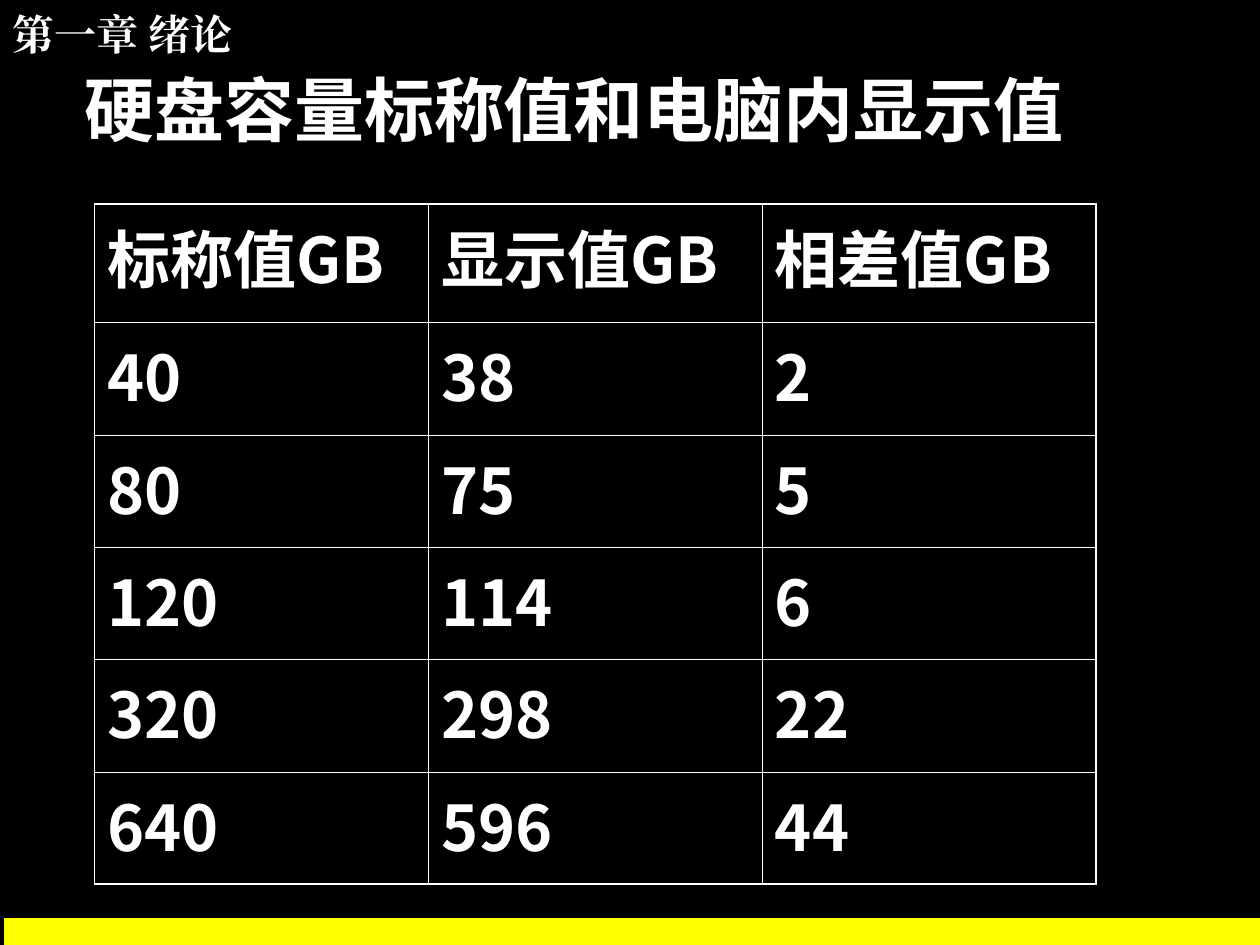
import pptx
import pptx.util
import pptx.dml.color
import pptx.enum.shapes
import pptx.enum.text
import pptx.oxml.ns
import pptx.oxml.xmlchemy

Inches = pptx.util.Inches
Pt = pptx.util.Pt
qn = pptx.oxml.ns.qn
OxmlElement = pptx.oxml.xmlchemy.OxmlElement

COLORS = {"background": "000000", "text": "FFFFFF", "grid": "FFFFFF", "band": "FFFF00"}
HEAVY, THIN = 1.08, 0.45

CAPACITIES = [
    ("标称值GB", "显示值GB", "相差值GB"),
    ("40", "38", "2"),
    ("80", "75", "5"),
    ("120", "114", "6"),
    ("320", "298", "22"),
    ("640", "596", "44"),
]


def color(name):
    return pptx.dml.color.RGBColor.from_string(COLORS[name])


def apply(target, values):
    for name, value in values.items():
        setattr(target, name, value)


def write(frame, text, size, typeface, line_spacing=1.0):
    paragraph = frame.paragraphs[0]
    apply(paragraph, {"alignment": pptx.enum.text.PP_ALIGN.LEFT,
                      "line_spacing": line_spacing, "space_before": Pt(0)})
    run = paragraph.add_run()
    run.text = text
    apply(run.font, {"size": Pt(size), "bold": True, "name": typeface})
    run.font.color.rgb = color("text")
    east_asian = OxmlElement("a:ea")
    east_asian.set("typeface", typeface)
    run.font._element.find(qn("a:latin")).addnext(east_asian)


def add_chapter(slide, box):
    chapter = slide.shapes.add_textbox(*box)
    chapter.text_frame.word_wrap = True
    write(chapter.text_frame, "第一章 绪论", 24, "Times New Roman", 1.25)


def add_band(slide, box):
    band = slide.shapes.add_shape(pptx.enum.shapes.MSO_SHAPE.RECTANGLE, *box)
    band.shadow.inherit = False
    band.fill.solid()
    band.fill.fore_color.rgb = color("band")
    band.line.color.rgb = color("band")
    band.line.width = Pt(0.75)


def fill_title(slide, box):
    title = slide.shapes.title
    apply(title, dict(zip(("left", "top", "width", "height"), box)))
    apply(title.text_frame, {
        "margin_left": 0, "margin_top": 0, "margin_right": 0, "margin_bottom": 0,
        "word_wrap": True, "vertical_anchor": pptx.enum.text.MSO_ANCHOR.MIDDLE,
        "auto_size": pptx.enum.text.MSO_AUTO_SIZE.NONE,
    })
    write(title.text_frame, "硬盘容量标称值和电脑内显示值", 40, "Noto Sans CJK SC", 0.85)


def add_borders(cell, outer_sides):
    properties = cell._tc.get_or_add_tcPr()
    for position, side in enumerate(("lnL", "lnR", "lnT", "lnB")):
        width = HEAVY if side in outer_sides else THIN
        border = OxmlElement("a:" + side)
        border.set("w", str(Pt(width)))
        fill = OxmlElement("a:solidFill")
        shade = OxmlElement("a:srgbClr")
        shade.set("val", COLORS["grid"])
        fill.append(shade)
        border.append(fill)
        properties.insert(position, border)


def add_capacity_table(slide, box):
    row_count, column_count = len(CAPACITIES), len(CAPACITIES[0])
    table = slide.shapes.add_table(row_count, column_count, *box).table
    apply(table, {"first_row": False, "horz_banding": False})
    header_height = Inches(0.94)
    for column in table.columns:
        column.width = int(box[2] / column_count)
    for index, row in enumerate(table.rows):
        row.height = header_height if index == 0 else int((box[3] - header_height) / (row_count - 1))
    for r, values in enumerate(CAPACITIES):
        for c, value in enumerate(values):
            cell = table.cell(r, c)
            cell.fill.background()
            apply(cell, {"margin_left": Inches(0.1), "margin_right": Inches(0.1),
                         "margin_top": Inches(0.05), "margin_bottom": Inches(0.05)})
            write(cell.text_frame, value, 36, "Noto Sans CJK SC")
            edges = {"lnL": c == 0, "lnR": c == column_count - 1,
                     "lnT": r == 0, "lnB": r == row_count - 1}
            add_borders(cell, [side for side, outer in edges.items() if outer])


def main():
    deck = pptx.Presentation()
    apply(deck, {"slide_width": Inches(10), "slide_height": Inches(7.5)})
    slide = deck.slides.add_slide(deck.slide_layouts[5])
    slide.background.fill.solid()
    slide.background.fill.fore_color.rgb = color("background")
    add_chapter(slide, (Inches(0), Inches(-0.08), Inches(4.92), Inches(0.6)))
    add_band(slide, (Inches(0.04), Inches(7.29), Inches(10), Inches(0.24)))
    fill_title(slide, (Inches(0.67), Inches(0.33), Inches(8.35), Inches(1.17)))
    add_capacity_table(slide, (Inches(0.75), Inches(1.62), Inches(7.95), Inches(5.4)))
    deck.save("out.pptx")


if __name__ == "__main__":
    main()
